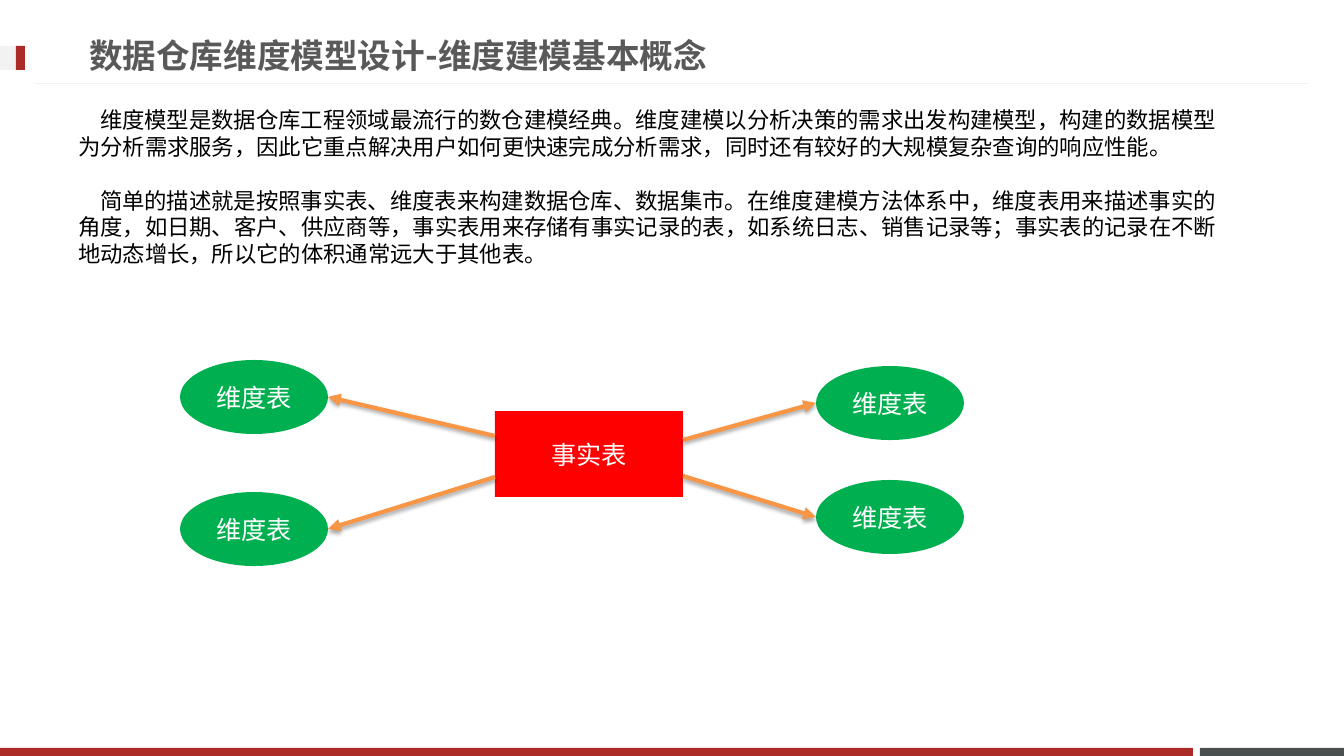
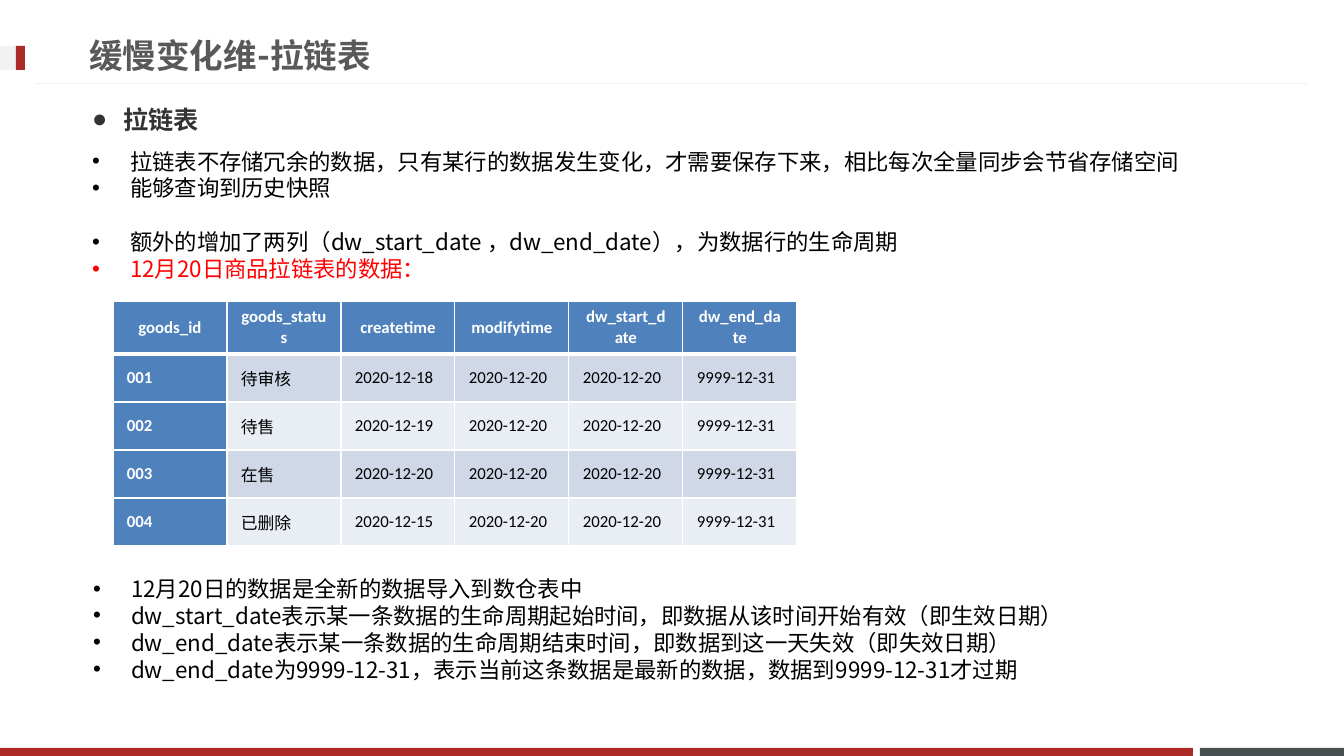
from lxml import etree
from pptx import Presentation, util as u
from pptx.dml.color import RGBColor
from pptx.enum import lang, shapes, text
from pptx.oxml import ns

PX = u.Inches(1) / 100.8
WHITE = RGBColor(0xFF, 0xFF, 0xFF)
BLACK = RGBColor(0, 0, 0)
RED = RGBColor(0xFF, 0, 0)
GREEN = RGBColor(0, 0xB0, 0x50)
ORANGE = RGBColor(0xF7, 0x96, 0x46)
BRICK = RGBColor(0xAD, 0x2B, 0x26)
SLATE = RGBColor(0x49, 0x50, 0x4F)
PALE = RGBColor(0xF2, 0xF2, 0xF2)
TITLE_GREY = RGBColor(0x59, 0x59, 0x59)
HEADING_GREY = RGBColor(0x33, 0x33, 0x33)
BLUE = RGBColor(0x4F, 0x81, 0xBD)
BANDS = (RGBColor(0xD0, 0xD8, 0xE8), RGBColor(0xE9, 0xED, 0xF4))
CJK = "Noto Sans CJK SC"

FRAME = [
    ((1200, 748, 144, 8), SLATE),
    ((0, 748, 1193, 8), BRICK),
    ((0, 46, 25, 24), PALE),
    ((16, 46, 9, 24), BRICK),
]

MODEL_TITLE = "数据仓库维度模型设计-维度建模基本概念"
MODEL_TEXT = [
    "维度模型是数据仓库工程领域最流行的数仓建模经典。维度建模以分析决策的需求出发构建模型，"
    "构建的数据模型为分析需求服务，因此它重点解决用户如何更快速完成分析需求，"
    "同时还有较好的大规模复杂查询的响应性能。",
    "简单的描述就是按照事实表、维度表来构建数据仓库、数据集市。在维度建模方法体系中，"
    "维度表用来描述事实的角度，如日期、客户、供应商等，事实表用来存储有事实记录的表，"
    "如系统日志、销售记录等；事实表的记录在不断地动态增长，所以它的体积通常远大于其他表。",
]
FACT = ("事实表", (495, 411, 188, 86))
DIMENSION = "维度表"
DIM_W, DIM_H = 148, 74
DIMENSIONS = [
    ((180, 360), (495, 436)),
    ((180, 492), (495, 477)),
    ((816, 366), (683, 440)),
    ((816, 480), (683, 476)),
]

ZIP_TITLE = "缓慢变化维-拉链表"
ZIP_HEADING = "拉链表"
ZIP_POINTS = [
    ("拉链表不存储冗余的数据，只有某行的数据发生变化，才需要保存下来，相比每次全量同步会节省存储空间", BLACK, 0),
    ("能够查询到历史快照", BLACK, 0),
    ("额外的增加了两列（dw_start_date ，dw_end_date），为数据行的生命周期", BLACK, 1),
    ("12月20日商品拉链表的数据：", RED, 0),
]
ZIP_NOTES = [
    "12月20日的数据是全新的数据导入到数仓表中",
    "dw_start_date表示某一条数据的生命周期起始时间，即数据从该时间开始有效（即生效日期）",
    "dw_end_date表示某一条数据的生命周期结束时间，即数据到这一天失效（即失效日期）",
    "dw_end_date为9999-12-31，表示当前这条数据是最新的数据，数据到9999-12-31才过期",
]
GOODS = [
    ("goods_id", "goods_status", "createtime", "modifytime", "dw_start_date", "dw_end_date"),
    ("001", "待审核", "2020-12-18", "2020-12-20", "2020-12-20", "9999-12-31"),
    ("002", "待售", "2020-12-19", "2020-12-20", "2020-12-20", "9999-12-31"),
    ("003", "在售", "2020-12-20", "2020-12-20", "2020-12-20", "9999-12-31"),
    ("004", "已删除", "2020-12-15", "2020-12-20", "2020-12-20", "9999-12-31"),
]
COL_W, HEADER_H, ROW_H = 114, 53, 48


def px(*values):
    return [round(v * PX) for v in values]


def add(parent, tag, **attrs):
    return etree.SubElement(parent, ns.qn(tag), {k: str(v) for k, v in attrs.items()})


def style(p, size, name, color, bold=False):
    f = p.font
    f.size, f.name, f.bold = u.Pt(size), name, bold
    f.color.rgb = color
    f.language_id = lang.MSO_LANGUAGE_ID.SIMPLIFIED_CHINESE
    add(p._p.get_or_add_pPr().get_or_add_defRPr(), "a:ea", typeface=CJK)


def place(sp, box):
    sp.left, sp.top, sp.width, sp.height = px(*box)


def body(s, idx, box):
    sp = s.placeholders[idx]
    place(sp, box)
    tf = sp.text_frame
    tf.word_wrap = True
    tf.auto_size = text.MSO_AUTO_SIZE.NONE
    return tf


def paragraph(tf, words, margin, indent, bullet=None, size=16, name=CJK,
              color=BLACK, bold=False, gap=0, after=0):
    p = tf.paragraphs[0] if not tf.text else tf.add_paragraph()
    p.text = words
    pPr = p._p.get_or_add_pPr()
    pPr.set("marL", str(px(margin)[0]))
    pPr.set("indent", str(px(indent)[0]))
    if bullet:
        add(pPr, "a:buChar", char=bullet)
        add(add(pPr, "a:tabLst"), "a:tab", pos=u.Inches(0.5), algn="l")
    else:
        add(pPr, "a:buNone")
    p.line_spacing = u.Pt(size * 1.2)
    p.space_before, p.space_after = u.Pt(gap), u.Pt(after)
    p.alignment = text.PP_ALIGN.LEFT
    style(p, size, name, color, bold)


def block(s, kind, box, fill, words=""):
    sp = s.shapes.add_shape(kind, *px(*box))
    sp.shadow.inherit = False
    sp.fill.solid()
    sp.fill.fore_color.rgb = fill
    sp.line.fill.background()
    if words:
        tf = sp.text_frame
        tf.vertical_anchor = text.MSO_ANCHOR.MIDDLE
        p = tf.paragraphs[0]
        p.text = words
        p.alignment = text.PP_ALIGN.CENTER
        style(p, 18, "Calibri", WHITE)
    return sp


def line(s, start, end, color, width):
    c = s.shapes.add_connector(shapes.MSO_CONNECTOR.STRAIGHT, *px(*start, *end))
    c.line.color.rgb = color
    c.line.width = u.Pt(width)
    return c, add(c._element.spPr, "a:effectLst")


def arrow(s, start, end):
    c, effects = line(s, start, end, ORANGE, 3)
    add(c.line._get_or_add_ln(), "a:tailEnd", type="triangle")
    shadow = add(effects, "a:outerShdw", blurRad=u.Pt(3.1), dist=u.Pt(1.8),
                 dir=5400000, rotWithShape=0)
    add(add(shadow, "a:srgbClr", val=BLACK), "a:alpha", val=35000)


def new_slide(prs, layout, title):
    s = prs.slides.add_slide(prs.slide_layouts[layout])
    for box, fill in FRAME:
        block(s, shapes.MSO_SHAPE.RECTANGLE, box, fill)
    line(s, (1308, 84), (35, 84), PALE, 0.75)
    sp = s.shapes.title
    place(sp, (79, 27, 967, 57))
    tf = sp.text_frame
    tf.auto_size = text.MSO_AUTO_SIZE.NONE
    tf.vertical_anchor = text.MSO_ANCHOR.MIDDLE
    p = tf.paragraphs[0]
    p.text = title
    p.alignment = text.PP_ALIGN.LEFT
    style(p, 24, "Roboto", TITLE_GREY, True)
    return s


def model_slide(prs):
    s = new_slide(prs, 1, MODEL_TITLE)
    tf = body(s, 1, (68, 101, 1164, 176))
    for i, words in enumerate(MODEL_TEXT):
        paragraph(tf, words, 0, 22, gap=19.2 * i)
    words, box = FACT
    block(s, shapes.MSO_SHAPE.RECTANGLE, box, RED, words)
    for (x, y), start in DIMENSIONS:
        block(s, shapes.MSO_SHAPE.OVAL, (x, y, DIM_W, DIM_H), GREEN, DIMENSION)
        near = x + DIM_W if x < start[0] else x
        arrow(s, start, (near, y + DIM_H // 2))


def border(tcPr, side, width):
    ln = add(tcPr, "a:ln" + side, w=u.Pt(width))
    add(add(ln, "a:solidFill"), "a:srgbClr", val=WHITE)


def goods_table(s):
    rows, cols = len(GOODS), len(GOODS[0])
    box = px(113, 301, COL_W * cols, HEADER_H + ROW_H * (rows - 1))
    table = s.shapes.add_table(rows, cols, *box).table
    for col in table.columns:
        col.width = px(COL_W)[0]
    for i, values in enumerate(GOODS):
        table.rows[i].height = px(ROW_H if i else HEADER_H)[0]
        for j, value in enumerate(values):
            cell = table.cell(i, j)
            head = i == 0 or j == 0
            cell.margin_left, cell.margin_right, cell.margin_top, cell.margin_bottom = px(14, 14, 6, 6)
            cell.vertical_anchor = text.MSO_ANCHOR.MIDDLE
            tcPr = cell._tc.get_or_add_tcPr()
            for side in "LRTB":
                border(tcPr, side, 3 if (i, side) in ((0, "B"), (1, "T")) else 1)
            cell.fill.solid()
            cell.fill.fore_color.rgb = BLUE if head else BANDS[(i - 1) % 2]
            p = cell.text_frame.paragraphs[0]
            p.text = value
            p.alignment = text.PP_ALIGN.LEFT if i else text.PP_ALIGN.CENTER
            style(p, 12, "Calibri", WHITE if head else BLACK, head)


def zip_slide(prs):
    s = new_slide(prs, 3, ZIP_TITLE)
    tf = body(s, 1, (82, 99, 1181, 190))
    paragraph(tf, ZIP_HEADING, 31, -31, "●", 18, "Open Sans", HEADING_GREY, True, after=9.6)
    for words, color, blank in ZIP_POINTS:
        paragraph(tf, words, 38, -38, "•", color=color, gap=19.2 * blank)
    goods_table(s)
    tf = body(s, 2, (83, 570, 1261, 146))
    for words in ZIP_NOTES:
        paragraph(tf, words, 38, -38, "•")


def main():
    prs = Presentation()
    prs.slide_width, prs.slide_height = px(1344, 756)
    model_slide(prs)
    zip_slide(prs)
    prs.save("out.pptx")


if __name__ == "__main__":
    main()
